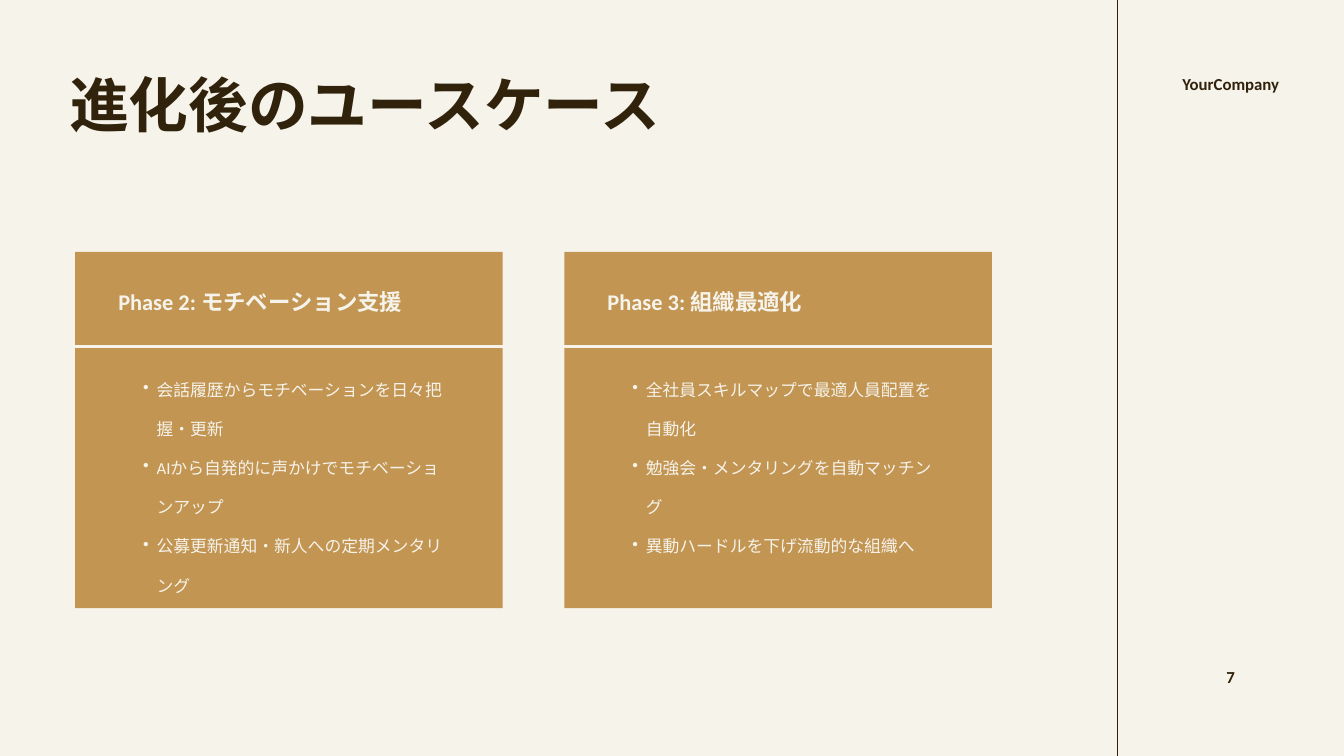
"""Build the use case slide with two phase cards."""
from dataclasses import dataclass

from lxml import etree
from pptx import Presentation
from pptx.dml.color import RGBColor
from pptx.enum.shapes import MSO_CONNECTOR, MSO_SHAPE
from pptx.enum.text import MSO_AUTO_SIZE, PP_ALIGN
from pptx.oxml.ns import qn
from pptx.shapes.autoshape import Shape
from pptx.slide import Slide
from pptx.util import Inches, Pt

STRAIGHT = MSO_CONNECTOR.STRAIGHT
RECTANGLE = MSO_SHAPE.RECTANGLE
GROW = MSO_AUTO_SIZE.SHAPE_TO_FIT_TEXT
LEFT, CENTER = PP_ALIGN.LEFT, PP_ALIGN.CENTER

FONT = "Calibri"
CREAM, BROWN, GOLD = "F6F3EA", "31220C", "C29553"
SLIDE_WIDTH, SLIDE_HEIGHT = 20, 11.25
SIDEBAR_X = 16.63
CARD_LEFT, CARD_TOP, CARD_WIDTH, CARD_HEIGHT = 1.12, 3.75, 6.36, 5.3
CARD_STEP = 7.28
DIVIDER_Y = 5.16


@dataclass(frozen=True)
class Frame:
    """Position and size in inches."""

    left: float
    top: float
    width: float
    height: float


@dataclass(frozen=True)
class TextStyle:
    """Look of a text box, with sizes in points."""

    size: float
    leading: float
    color: str
    bold: bool = True
    align: PP_ALIGN = LEFT
    bulleted: bool = False


@dataclass(frozen=True)
class Phase:
    """Heading and points of one card."""

    heading: str
    points: tuple[str, ...]


TITLE = TextStyle(64, 64, BROWN)
SIDEBAR = TextStyle(18, 29.4, BROWN, align=CENTER)
HEADING = TextStyle(24, 39.2, CREAM)
POINTS = TextStyle(18, 42, CREAM, bold=False, bulleted=True)

PHASES = (
    Phase(
        "Phase 2: モチベーション支援",
        (
            "会話履歴からモチベーションを日々把握・更新",
            "AIから自発的に声かけでモチベーションアップ",
            "公募更新通知・新人への定期メンタリング",
        ),
    ),
    Phase(
        "Phase 3: 組織最適化",
        (
            "全社員スキルマップで最適人員配置を自動化",
            "勉強会・メンタリングを自動マッチング",
            "異動ハードルを下げ流動的な組織へ",
        ),
    ),
)


def color(value: str) -> RGBColor:
    """Turn a hex string into a colour."""
    return RGBColor.from_string(value)


def add_bullet(para) -> None:
    """Give a paragraph a hanging bullet."""
    para.level = 1
    properties = para._p.get_or_add_pPr()
    properties.set("marL", str(Inches(0.8)))
    properties.set("indent", str(Inches(-0.2)))
    etree.SubElement(properties, qn("a:buChar")).set("char", "•")


def add_text(page: Slide, frame: Frame, text: str, style: TextStyle) -> Shape:
    """Add a text box with one paragraph per line of text."""
    box = page.shapes.add_textbox(
        Inches(frame.left), Inches(frame.top), Inches(frame.width), Inches(frame.height)
    )
    body = box.text_frame
    body.margin_left = body.margin_top = body.margin_right = body.margin_bottom = 0
    body.word_wrap = True
    body.auto_size = GROW
    body.text = text
    for para in body.paragraphs:
        if style.bulleted:
            add_bullet(para)
        para.alignment = style.align
        para.line_spacing = Pt(style.leading)
        for span in para.runs:
            span.font.name = FONT
            span.font.size = Pt(style.size)
            span.font.bold = style.bold
            span.font.color.rgb = color(style.color)
    return box


def add_line(
    page: Slide, start: tuple[float, float], end: tuple[float, float], shade: str, width: float
) -> None:
    """Draw a straight line without a shadow."""
    line = page.shapes.add_connector(
        STRAIGHT, Inches(start[0]), Inches(start[1]), Inches(end[0]), Inches(end[1])
    )
    line.line.color.rgb = color(shade)
    line.line.width = Pt(width)
    etree.SubElement(line._element.spPr, qn("a:effectLst"))


def add_card(page: Slide, left: float, phase: Phase) -> None:
    """Draw one phase card with its heading, divider and points."""
    card = page.shapes.add_shape(
        RECTANGLE, Inches(left), Inches(CARD_TOP), Inches(CARD_WIDTH), Inches(CARD_HEIGHT)
    )
    card.shadow.inherit = False
    card.fill.solid()
    card.fill.fore_color.rgb = color(GOLD)
    card.line.fill.background()
    add_text(page, Frame(left + 0.64, 4.15, 4.88, 0.54), phase.heading, HEADING)
    add_text(page, Frame(left + 0.41, 5.36, 5.17, 2.83), "\n".join(phase.points), POINTS)
    add_line(page, (left, DIVIDER_Y), (left + CARD_WIDTH, DIVIDER_Y), CREAM, 3)


def main() -> None:
    """Build and save the deck."""
    deck = Presentation()
    deck.slide_width = Inches(SLIDE_WIDTH)
    deck.slide_height = Inches(SLIDE_HEIGHT)
    page = deck.slides.add_slide(deck.slide_layouts[6])
    page.background.fill.solid()
    page.background.fill.fore_color.rgb = color(CREAM)

    add_line(page, (SIDEBAR_X, 0), (SIDEBAR_X, SLIDE_HEIGHT), BROWN, 0.75)
    add_text(page, Frame(1.03, 1.18, 9.75, 1), "進化後のユースケース", TITLE)
    add_text(page, Frame(17.35, 0.99, 1.93, 0.81), "YourCompany", SIDEBAR)
    add_text(page, Frame(17.35, 9.81, 1.93, 0.4), "7", SIDEBAR)
    for index, phase in enumerate(PHASES):
        add_card(page, CARD_LEFT + index * CARD_STEP, phase)
    deck.save("out.pptx")


if __name__ == "__main__":
    main()
